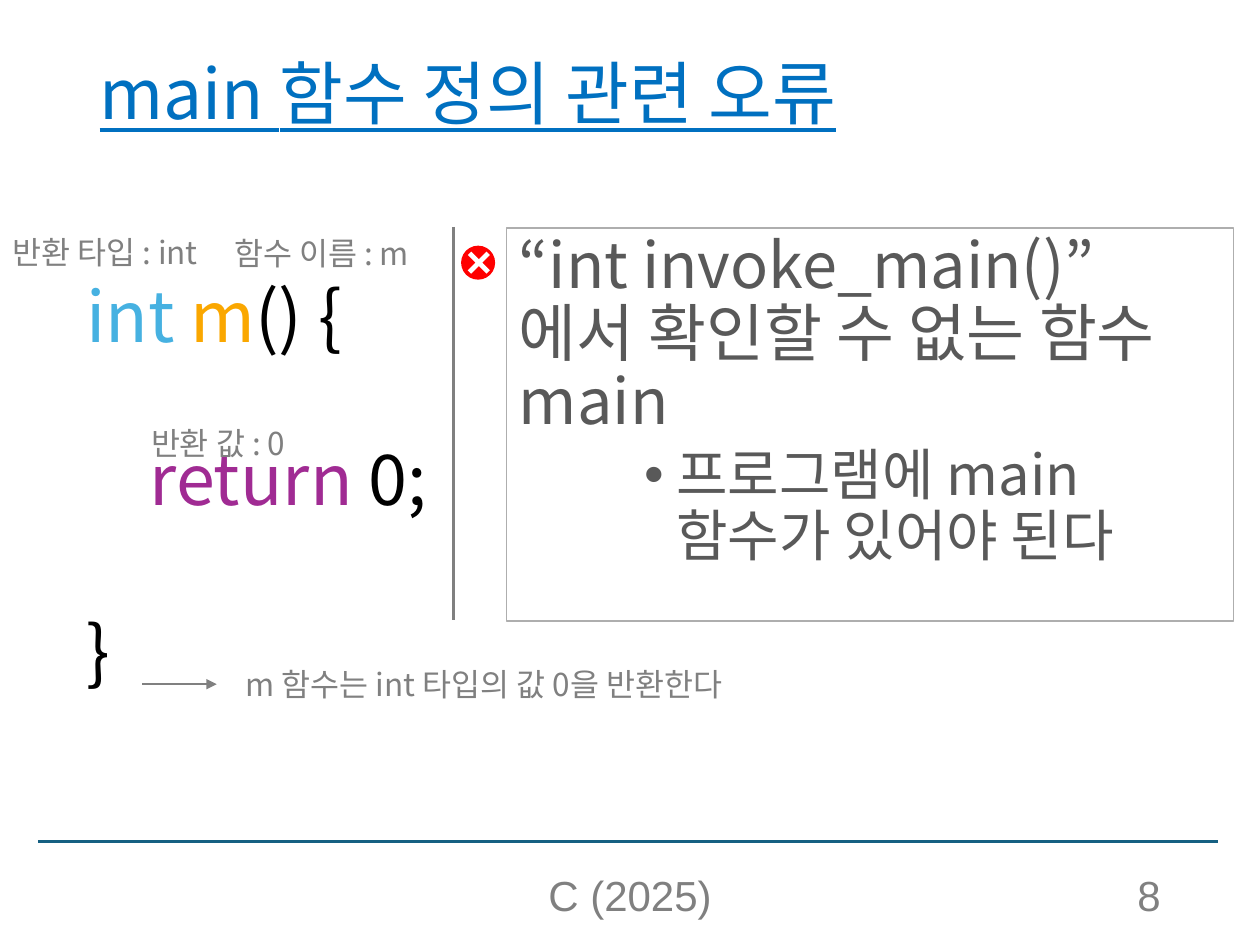
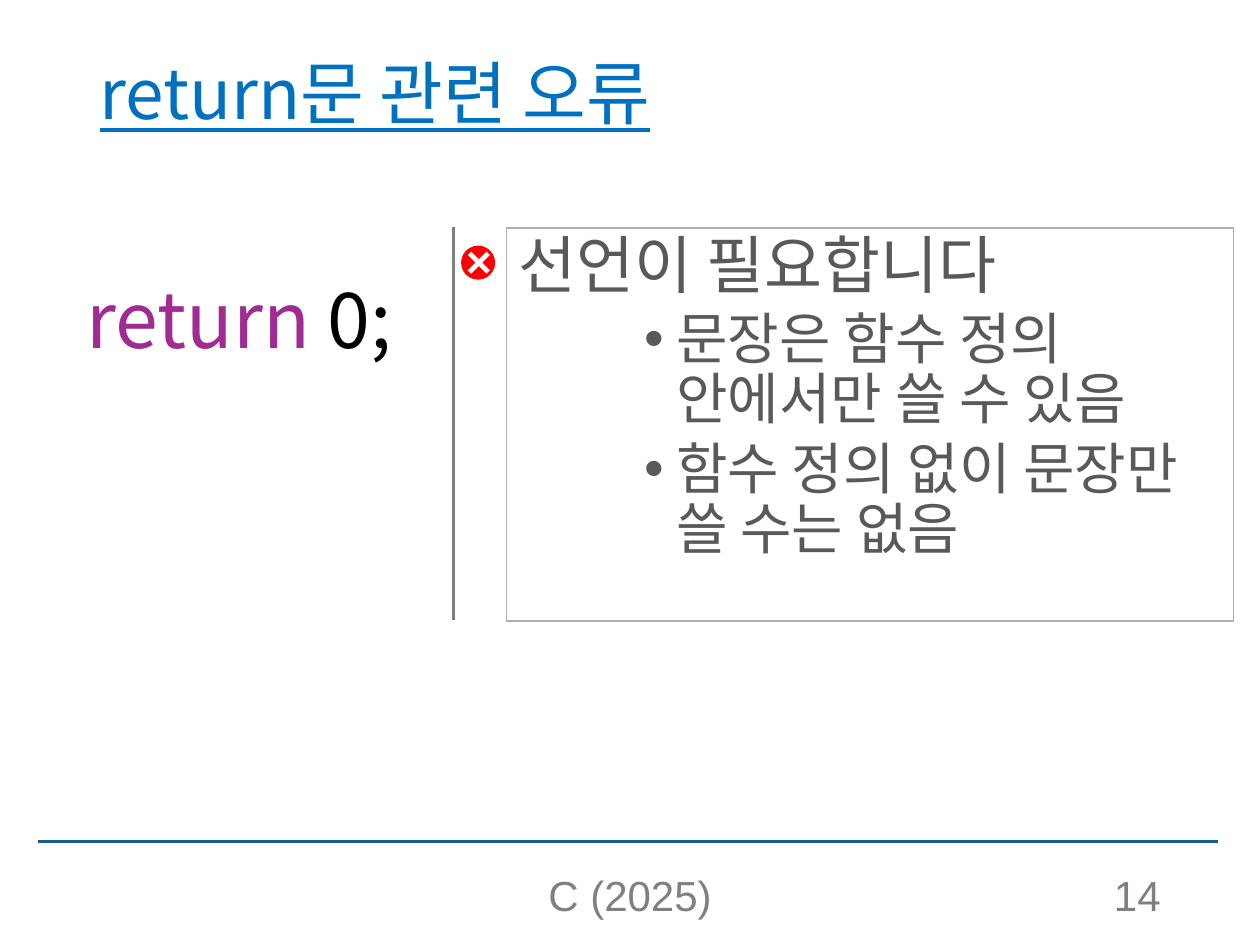
from lxml.etree import SubElement
from pptx import Presentation
from pptx.dml.color import RGBColor
from pptx.enum.shapes import MSO_CONNECTOR, MSO_SHAPE
from pptx.enum.text import MSO_ANCHOR, MSO_AUTO_SIZE, PP_ALIGN
from pptx.oxml.ns import qn
from pptx.util import Inches, Pt

BLUE = RGBColor(0x00, 0x70, 0xC0)
NAVY = RGBColor(0x15, 0x60, 0x82)
SKY = RGBColor(0x46, 0xB1, 0xE1)
ORANGE = RGBColor(0xFA, 0xA7, 0x00)
PURPLE = RGBColor(0xA0, 0x2B, 0x93)
RED = RGBColor(0xFF, 0x00, 0x00)
BLACK = RGBColor(0x00, 0x00, 0x00)
WHITE = RGBColor(0xFF, 0xFF, 0xFF)
DARK_GRAY = RGBColor(0x59, 0x59, 0x59)
GRAY = RGBColor(0x80, 0x80, 0x80)
LIGHT_GRAY = RGBColor(0xAE, 0xAE, 0xAE)

KOREAN = "Noto Sans CJK KR"
LATIN = "Arial"
COLUMNS, ROWS = 100, 75
WIDTH, HEIGHT = Inches(10), Inches(7.5)

TITLE = {"size": Pt(39.6), "name": KOREAN, "color": BLUE, "underline": True}
FOOTER = {"size": Pt(24), "name": LATIN, "color": GRAY}
LABEL = {"size": Pt(18), "name": KOREAN, "color": GRAY}
MESSAGE = {"size": Pt(36), "name": KOREAN, "color": DARK_GRAY}
HINT = {**MESSAGE, "size": Pt(32)}
CODE = {"size": Pt(40), "name": KOREAN}
LARGE_CODE = {**CODE, "size": Pt(44)}

TOP_LEVEL = {"line_spacing": 0.9, "space_before": Pt(10)}
SUB_LEVEL = {"line_spacing": 0.9, "space_before": Pt(5)}
# A skipped code line is 45 points high.
AFTER_GAP = {**TOP_LEVEL, "space_before": Pt(10 + 45)}
SUB_AFTER_GAP = {**SUB_LEVEL, "space_before": Pt(5 + 45)}


def apply(target, values):
    for name, value in values.items():
        setattr(target, name, value)


class LessonDeck:
    """Holds the deck, its shared style and the current page; positions are grid cells."""

    def __init__(self):
        self.deck = Presentation()
        apply(self.deck, {"slide_width": WIDTH, "slide_height": HEIGHT})
        self.page = None

    def place(self, left, top, width, height):
        """Turn grid cells into slide lengths."""
        return (int(WIDTH * left / COLUMNS), int(HEIGHT * top / ROWS),
                int(WIDTH * width / COLUMNS), int(HEIGHT * height / ROWS))

    def start_page(self, title, number):
        self.page = self.deck.slides.add_slide(self.deck.slide_layouts[5])
        self.line(3, 66.8, 96.7, 66.8, NAVY)
        heading = self.page.shapes.title
        cells = self.place(6.9, 4, 86.2, 7.4)
        apply(heading, dict(zip(("left", "top", "width", "height"), cells)))
        apply(heading.text_frame, {"vertical_anchor": MSO_ANCHOR.MIDDLE, "word_wrap": True,
                                   "auto_size": MSO_AUTO_SIZE.NONE})
        self.add_spans(heading.text_frame.paragraphs[0], [(title, {})], TITLE,
                       {"alignment": PP_ALIGN.LEFT, "line_spacing": 0.9})
        for text, left, width, alignment in (("C (2025)", 33.1, 33.8, PP_ALIGN.CENTER),
                                             (str(number), 70.6, 22.5, PP_ALIGN.RIGHT)):
            self.text((left, 69.5, width, 4), [([(text, {})], FOOTER, {"alignment": alignment})],
                      {"word_wrap": True, "vertical_anchor": MSO_ANCHOR.BOTTOM})

    def add_spans(self, para, spans, font, layout):
        """Fill a paragraph with (text, font changes) spans."""
        apply(para, layout)
        for text, changes in spans:
            span = para.add_run()
            span.text = text
            values = {**font, **changes}
            span.font.color.rgb = values.pop("color")
            apply(span.font, values)
            SubElement(span.font._element, qn("a:ea"), typeface=values["name"])

    def indent(self, para, margin, hanging=0, bullet=None):
        properties = para._p.get_or_add_pPr()
        properties.set("marL", str(Inches(margin)))
        properties.set("indent", str(Inches(-hanging)))
        if bullet:
            SubElement(properties, qn("a:buFont"), typeface=LATIN)
            SubElement(properties, qn("a:buChar"), char=bullet)

    def fill_frame(self, frame, paragraphs, options):
        """Put (spans, font, layout[, indent]) paragraphs into a frame."""
        apply(frame, options)
        for index, (spans, font, layout, *indent) in enumerate(paragraphs):
            para = frame.add_paragraph() if index else frame.paragraphs[0]
            self.add_spans(para, spans, font, layout)
            if indent:
                self.indent(para, *indent[0])

    def text(self, cells, paragraphs, options):
        box = self.page.shapes.add_textbox(*self.place(*cells))
        self.fill_frame(box.text_frame, paragraphs, options)

    def label(self, text, left, top, width):
        self.text((left, top, width, 4), [([(text, {})], LABEL, {})],
                  {"word_wrap": False, "auto_size": MSO_AUTO_SIZE.SHAPE_TO_FIT_TEXT})

    def code(self, paragraphs):
        self.text((5.9, 21.9, 29.3, 37.6), paragraphs, {"word_wrap": True})

    def shape(self, kind, cells, fill=None, outline=None, shapes=None):
        shape = (shapes or self.page.shapes).add_shape(kind, *self.place(*cells))
        shape.shadow.inherit = False
        if fill is None:
            shape.fill.background()
        else:
            shape.fill.solid()
            shape.fill.fore_color.rgb = fill
        if outline is None:
            shape.line.fill.background()
        else:
            shape.line.color.rgb = outline
            shape.line.width = Pt(0.75)
        return shape

    def line(self, left, top, right, bottom, color, arrow=False):
        ends = self.place(left, top, right, bottom)
        line = self.page.shapes.add_connector(MSO_CONNECTOR.STRAIGHT, *ends)
        line.line.color.rgb = color
        line.line.width = Pt(1.5)
        if arrow:
            SubElement(line.get_or_add_ln(), qn("a:tailEnd"), type="triangle")
        SubElement(line._element.spPr, qn("a:effectLst"))

    def error(self, message, hints):
        """Draw the error panel with its divider and cross badge."""
        panel = self.shape(MSO_SHAPE.RECTANGLE, (40.2, 18.1, 57.7, 31.2), outline=LIGHT_GRAY)
        left = {"alignment": PP_ALIGN.LEFT}
        paragraphs = [([(message, {})], MESSAGE, {**TOP_LEVEL, **left})]
        paragraphs += [([(hint, {})], HINT, {**SUB_LEVEL, **left}, (1.25, 0.25, "•"))
                       for hint in hints]
        self.fill_frame(panel.text_frame, paragraphs,
                        {"word_wrap": True, "vertical_anchor": MSO_ANCHOR.TOP})
        self.line(36, 18, 36, 49.2, GRAY)
        badge = self.page.shapes.add_group_shape()
        self.shape(MSO_SHAPE.OVAL, (36.6, 19.5, 2.7, 2.7), RED, shapes=badge.shapes)
        cross = self.shape(MSO_SHAPE.CROSS, (36.95, 19.8, 2.1, 2.1), WHITE, shapes=badge.shapes)
        cross.rotation = 45
        cross.adjustments[0] = 0.41


def main():
    lesson = LessonDeck()
    return_spans = [("return", {"color": PURPLE}), (" 0;", {"color": BLACK})]

    lesson.start_page("main 함수 정의 관련 오류", 8)
    lesson.error("“int invoke_main()” 에서 확인할 수 없는 함수 main",
                 ["프로그램에 main 함수가 있어야 된다"])
    signature = [("int ", {"color": SKY}), ("m", {"color": ORANGE}), ("() {", {"color": BLACK})]
    lesson.code([
        (signature, CODE, TOP_LEVEL),
        (return_spans, CODE, SUB_AFTER_GAP, (0.5,)),
        ([("}", {"color": BLACK})], CODE, AFTER_GAP),
    ])
    for label in (("반환 타입 : int", 0, 18, 18.3),
                  ("함수 이름 : m", 17.6, 18.1, 17.5),
                  ("반환 값 : 0", 11, 33.2, 14.2),
                  ("m 함수는 int 타입의 값 0을 반환한다", 18.5, 52.3, 43.8)):
        lesson.label(*label)
    lesson.line(11.3, 54.3, 17.2, 54.3, GRAY, arrow=True)

    lesson.start_page("return문 관련 오류", 14)
    lesson.error("선언이 필요합니다",
                 ["문장은 함수 정의 안에서만 쓸 수 있음", "함수 정의 없이 문장만 쓸 수는 없음"])
    lesson.code([(return_spans, LARGE_CODE, TOP_LEVEL)])

    lesson.deck.save("out.pptx")


if __name__ == "__main__":
    main()
